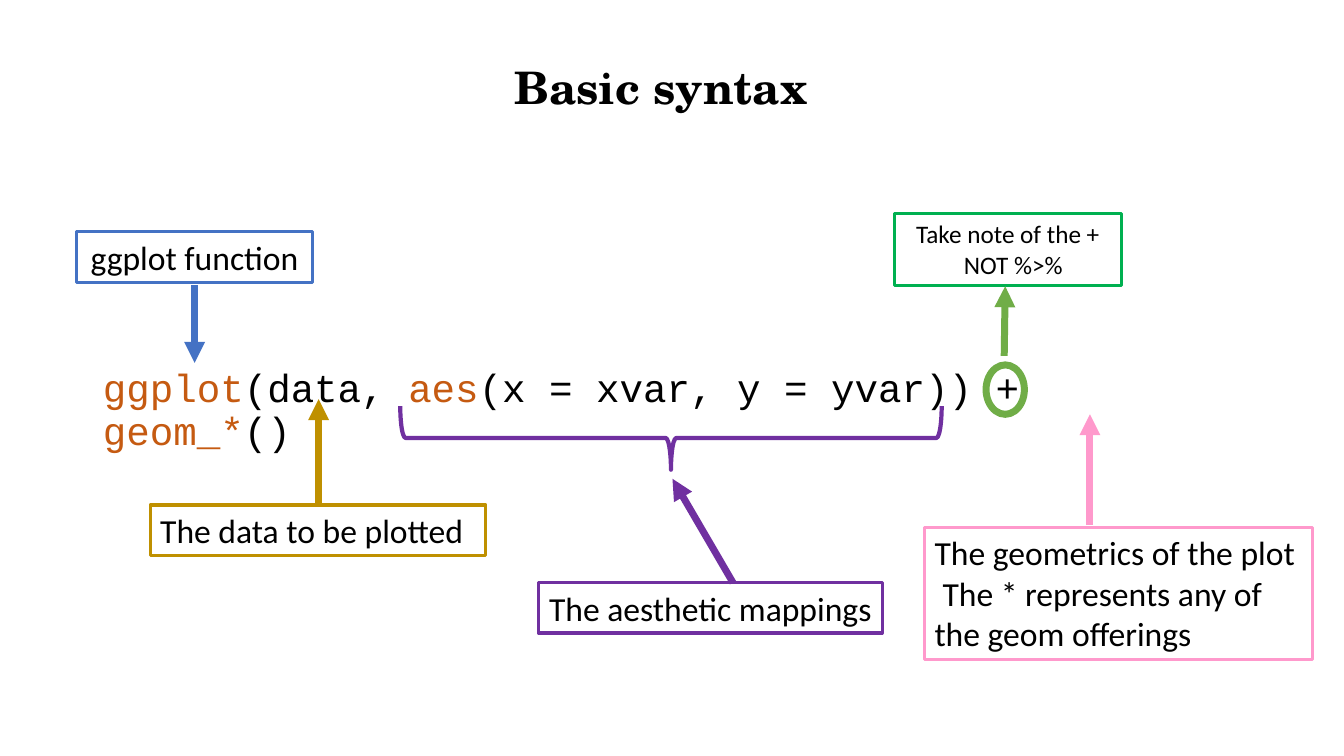
from lxml.etree import SubElement
from pptx import Presentation
from pptx.dml.color import RGBColor
from pptx.enum.shapes import MSO_CONNECTOR, MSO_SHAPE
from pptx.enum.text import MSO_ANCHOR, MSO_AUTO_SIZE, PP_ALIGN
from pptx.oxml.ns import qn
from pptx.util import Inches, Pt

COLORS = {
    "text": "000000", "code": "C55A11", "function": "4472C4",
    "data": "BF9000", "mapping": "7030A0", "plus": "70AD47",
    "note": "00B050", "geom": "FF99CC",
}
LEFT, CENTER = PP_ALIGN.LEFT, PP_ALIGN.CENTER


def rgb(name):
    return RGBColor.from_string(COLORS[name])


def place(sp, box):
    sp.left, sp.top, sp.width, sp.height = (Inches(v) for v in box)


def add_run(p, text, font, size, color="text", bold=False):
    r = p.add_run()
    r.text = text
    r.font.name = font
    r.font.size = Pt(size)
    r.font.bold = bold
    r.font.color.rgb = rgb(color)


def indent(p, first_line):
    """Clear the left margin and indent only the first line, in inches."""
    pPr = p._p.get_or_add_pPr()
    pPr.set("marL", "0")
    pPr.set("indent", str(Inches(first_line)))
    return pPr


def add_outline(s, kind, box, color, width):
    sp = s.shapes.add_shape(kind, *(Inches(v) for v in box))
    sp.shadow.inherit = False
    sp.fill.background()
    sp.line.color.rgb = rgb(color)
    sp.line.width = Pt(width)
    return sp


def add_arrow(s, start, end, color):
    c = s.shapes.add_connector(
        MSO_CONNECTOR.STRAIGHT, *(Inches(v) for v in start + end))
    c.line.color.rgb = rgb(color)
    c.line.width = Pt(5)
    SubElement(c.line._get_or_add_ln(), qn("a:tailEnd"), type="triangle")
    SubElement(c._element.spPr, qn("a:effectLst"))


def add_callout(s, box, lines, color, size=24, align=LEFT, second_indent=0):
    sp = add_outline(s, MSO_SHAPE.RECTANGLE, box, color, 2.25)
    tf = sp.text_frame
    tf.word_wrap = True
    tf.auto_size = MSO_AUTO_SIZE.SHAPE_TO_FIT_TEXT
    tf.vertical_anchor = MSO_ANCHOR.TOP
    for i, line in enumerate(lines):
        p = tf.add_paragraph() if i else tf.paragraphs[0]
        p.alignment = align
        if i:
            indent(p, second_indent)
        add_run(p, line, "Calibri", size)


def add_title(s, box):
    sp = s.shapes.title
    place(sp, box)
    tf = sp.text_frame
    tf.margin_left = tf.margin_right = tf.margin_top = tf.margin_bottom = 0
    tf.auto_size = MSO_AUTO_SIZE.NONE
    tf.vertical_anchor = MSO_ANCHOR.MIDDLE
    p = tf.paragraphs[0]
    p.alignment = LEFT
    add_run(p, "Basic syntax", "TeX Gyre Schola", 32, bold=True)


def add_code(s, box):
    sp = s.placeholders[1]
    place(sp, box)
    tf = sp.text_frame
    tf.auto_size = MSO_AUTO_SIZE.NONE
    p = tf.paragraphs[0]
    SubElement(indent(p, 0), qn("a:buNone"))
    p.line_spacing = 0.9
    p.space_before = Pt(0)
    for text, color in (
        ("ggplot", "code"), ("(data, ", "text"), ("aes", "code"),
        ("(x = xvar, y = yvar)) + ", "text"), ("geom_*", "code"),
        ("()", "text"),
    ):
        add_run(p, text, "Courier New", 28, color)


def add_function_label(s, x, y):
    add_callout(s, (x, y, 2.34, 0.5), ["ggplot function"], "function",
                align=CENTER)
    add_arrow(s, (x + 1.17, y + 0.53), (x + 1.17, y + 1.3), "function")


def add_data_label(s, x, y):
    add_arrow(s, (x + 1.67, y), (x + 1.67, y - 1.05), "data")
    add_callout(s, (x, y, 3.33, 0.5), ["The data to be plotted"], "data")


def add_mapping_label(s, x, y):
    add_arrow(s, (x + 1.93, y), (x + 1.33, y - 1.03), "mapping")
    brace = add_outline(s, MSO_SHAPE.LEFT_BRACE,
                        (x + 1, y - 4.12, 0.63, 5.37), "mapping", 3)
    brace.rotation = 270
    add_callout(s, (x, y, 3.41, 0.5), ["The aesthetic mappings"], "mapping",
                align=CENTER)


def add_plus_label(s, x, y):
    add_outline(s, MSO_SHAPE.OVAL, (x + 0.91, y + 1.5, 0.38, 0.49), "plus", 5)
    add_callout(s, (x, y, 2.25, 0.71), ["Take note of the +", "NOT %>%"],
                "note", 18, CENTER, 0.11)
    add_arrow(s, (x + 1.09, y + 1.41), (x + 1.1, y + 0.72), "plus")


def add_geom_label(s, x, y):
    add_arrow(s, (x + 1.64, y - 0.02), (x + 1.64, y - 1.12), "geom")
    add_callout(s, (x, y, 3.85, 1.31),
                ["The geometrics of the plot",
                 "The * represents any of the geom offerings"],
                "geom", second_indent=0.08)


def main():
    prs = Presentation()
    prs.slide_width, prs.slide_height = Inches(13.33), Inches(7.5)
    s = prs.slides.add_slide(prs.slide_layouts[1])
    add_title(s, (5.1, 0.58, 3, 0.55))
    add_code(s, (0.92, 3.61, 11.38, 1.39))
    add_function_label(s, 0.76, 2.3)
    add_data_label(s, 1.49, 5.01)
    add_mapping_label(s, 5.34, 5.78)
    add_plus_label(s, 8.87, 2.12)
    add_geom_label(s, 9.17, 5.23)
    prs.save("out.pptx")


if __name__ == "__main__":
    main()
